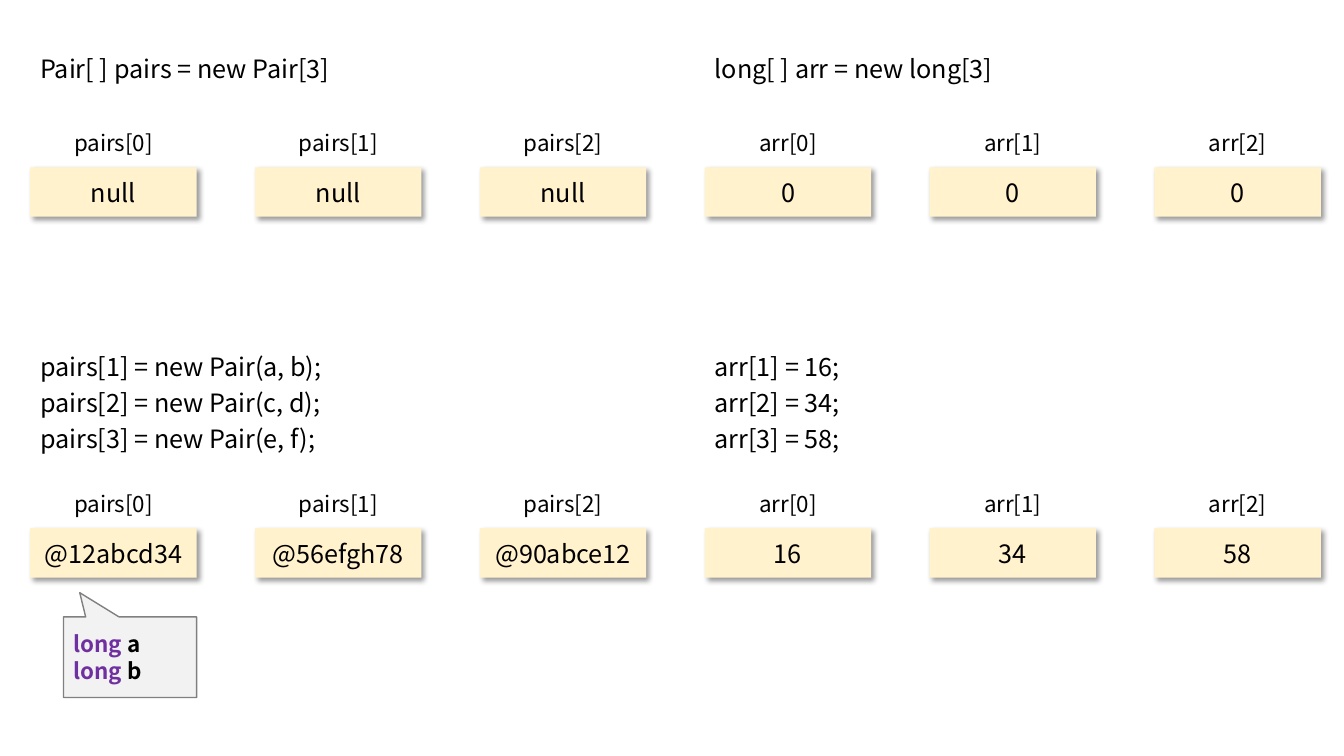
from dataclasses import dataclass

from lxml.etree import SubElement
from pptx import Presentation
from pptx.dml.color import RGBColor
from pptx.enum.shapes import MSO_SHAPE as Preset
from pptx.enum.text import MSO_ANCHOR as Anchor, PP_ALIGN as Align
from pptx.oxml.ns import qn
from pptx.util import Inches, Pt


@dataclass(frozen=True)
class Theme:
    font: str = "Noto Sans CJK KR"
    code_size: int = 18
    label_size: int = 16
    text: str = "000000"
    keyword: str = "7030A0"
    cell: str = "FFF2CC"
    callout: str = "F2F2F2"
    outline: str = "808080"


@dataclass(frozen=True)
class Box:
    left: float
    top: float
    width: float
    height: float

    def at(self, right, down, width, height):
        """Return a box offset from this one's top left corner."""
        return Box(self.left + right, self.top + down, width, height)

    def inches(self):
        return [Inches(n) for n in (self.left, self.top, self.width, self.height)]


THEME = Theme()
SLIDE_WIDTH, SLIDE_HEIGHT = 13.33, 7.5
MARGIN = 0.3
COLUMN = 2.23
CELL_WIDTH, ROW = 1.65, 0.49
CODE_WIDTH = 3.45
CELLS_PER_ARRAY = 3
LABEL_INSETS = (0.04, 0.04)
LINE_INSETS = (0.1, 0.04)
BLOCK_INSETS = (0.1, 0)
DEFAULT_INSETS = (0.1, 0.05)

# Top of the region, height of its code, and drop from the region's top to the labels
BEFORE = (0.43, ROW, 0.74)
AFTER = (3.42, 1.08, 1.33)

ARRAYS = [
    ("pairs", BEFORE, "Pair[ ] pairs = new Pair[3]", ["null"] * 3),
    ("pairs", AFTER,
     "pairs[1] = new Pair(a, b);\vpairs[2] = new Pair(c, d);\npairs[3] = new Pair(e, f);",
     ["@12abcd34", "@56efgh78", "@90abce12"]),
    ("arr", BEFORE, "long[ ] arr = new long[3]", ["0"] * 3),
    ("arr", AFTER, "arr[1] = 16;\varr[2] = 34;\narr[3] = 58;", ["16", "34", "58"]),
]


def set_all(target, values):
    for name, value in values.items():
        setattr(target, name, value)


def style_font(font, size, color=THEME.text, bold=False):
    set_all(font, {"name": THEME.font, "size": Pt(size), "bold": bold})
    font.color.rgb = RGBColor.from_string(color)


def style_frame(shape, insets):
    across, down = map(Inches, insets)
    set_all(shape.text_frame, {
        "word_wrap": True, "vertical_anchor": Anchor.MIDDLE,
        "margin_left": across, "margin_right": across,
        "margin_top": down, "margin_bottom": down,
    })


def write(shape, text, size, insets, align=Align.LEFT, spacing=None):
    style_frame(shape, insets)
    shape.text_frame.text = text
    for paragraph in shape.text_frame.paragraphs:
        set_all(paragraph, {"alignment": align, "line_spacing": spacing})
        for run in paragraph.runs:
            style_font(run.font, size)


def add_filled(shapes, preset, box, fill):
    shape = shapes.add_shape(preset, *box.inches())
    shape.fill.solid()
    shape.fill.fore_color.rgb = RGBColor.from_string(fill)
    shape.line.fill.background()
    shape.shadow.inherit = False
    return shape


def add_shadow(shape):
    effects = shape._element.spPr.find(qn("a:effectLst"))
    shadow = SubElement(effects, qn("a:outerShdw"), {
        "blurRad": str(Pt(4)), "dist": str(Pt(3)), "dir": str(45 * 60000),
        "algn": "tl", "rotWithShape": "0",
    })
    color = SubElement(shadow, qn("a:srgbClr"), val="000000")
    SubElement(color, qn("a:alpha"), val="40000")


def add_cell(slide, box, label, value):
    """Group an array element with the index label above it."""
    shapes = slide.shapes.add_group_shape().shapes
    element = add_filled(shapes, Preset.RECTANGLE, box.at(0, ROW, box.width, ROW), THEME.cell)
    add_shadow(element)
    write(element, value, THEME.code_size, DEFAULT_INSETS, Align.CENTER)
    caption = shapes.add_textbox(*box.at(0, 0, box.width, ROW).inches())
    write(caption, label, THEME.label_size, LABEL_INSETS, Align.CENTER)


def add_array(slide, box, name, code_height, cells_drop, code, values):
    """Place code over its row of array elements."""
    for index, value in enumerate(values):
        cell = box.at(index * COLUMN, cells_drop, CELL_WIDTH, 2 * ROW)
        add_cell(slide, cell, f"{name}[{index}]", value)
    listing = slide.shapes.add_textbox(*box.at(0, 0, CODE_WIDTH, code_height).inches())
    is_block = "\n" in code
    write(listing, code, THEME.code_size, BLOCK_INSETS if is_block else LINE_INSETS,
          spacing=1.2 if is_block else None)


def add_fields_callout(slide, box, fields):
    callout = add_filled(slide.shapes, Preset.RECTANGULAR_CALLOUT, box, THEME.callout)
    callout.adjustments[0], callout.adjustments[1] = -0.378, -0.8
    callout.line.color.rgb = RGBColor.from_string(THEME.outline)
    callout.line.width = Pt(1)
    style_frame(callout, DEFAULT_INSETS)
    paragraph = callout.text_frame.paragraphs[0]
    paragraph.alignment = Align.LEFT
    for index, (kind, name) in enumerate(fields):
        if index:
            paragraph.add_line_break()
        for text, color in ((kind, THEME.keyword), (f" {name}", THEME.text)):
            run = paragraph.add_run()
            run.text = text
            style_font(run.font, THEME.label_size, color, bold=True)


def main():
    presentation = Presentation()
    set_all(presentation, {"slide_width": Inches(SLIDE_WIDTH),
                           "slide_height": Inches(SLIDE_HEIGHT)})
    slide = presentation.slides.add_slide(presentation.slide_layouts[6])
    array_width = CELLS_PER_ARRAY * COLUMN
    array_left = {"pairs": MARGIN, "arr": MARGIN + array_width}
    for name, (top, code_height, cells_drop), code, values in ARRAYS:
        box = Box(array_left[name], top, array_width, cells_drop + 2 * ROW)
        add_array(slide, box, name, code_height, cells_drop, code, values)
    callout_width = 0.8 * CELL_WIDTH
    callout_left = MARGIN + CELL_WIDTH - callout_width
    add_fields_callout(slide, Box(callout_left, 6.12, callout_width, 0.8),
                       [("long", "a"), ("long", "b")])
    presentation.save("out.pptx")


if __name__ == "__main__":
    main()
